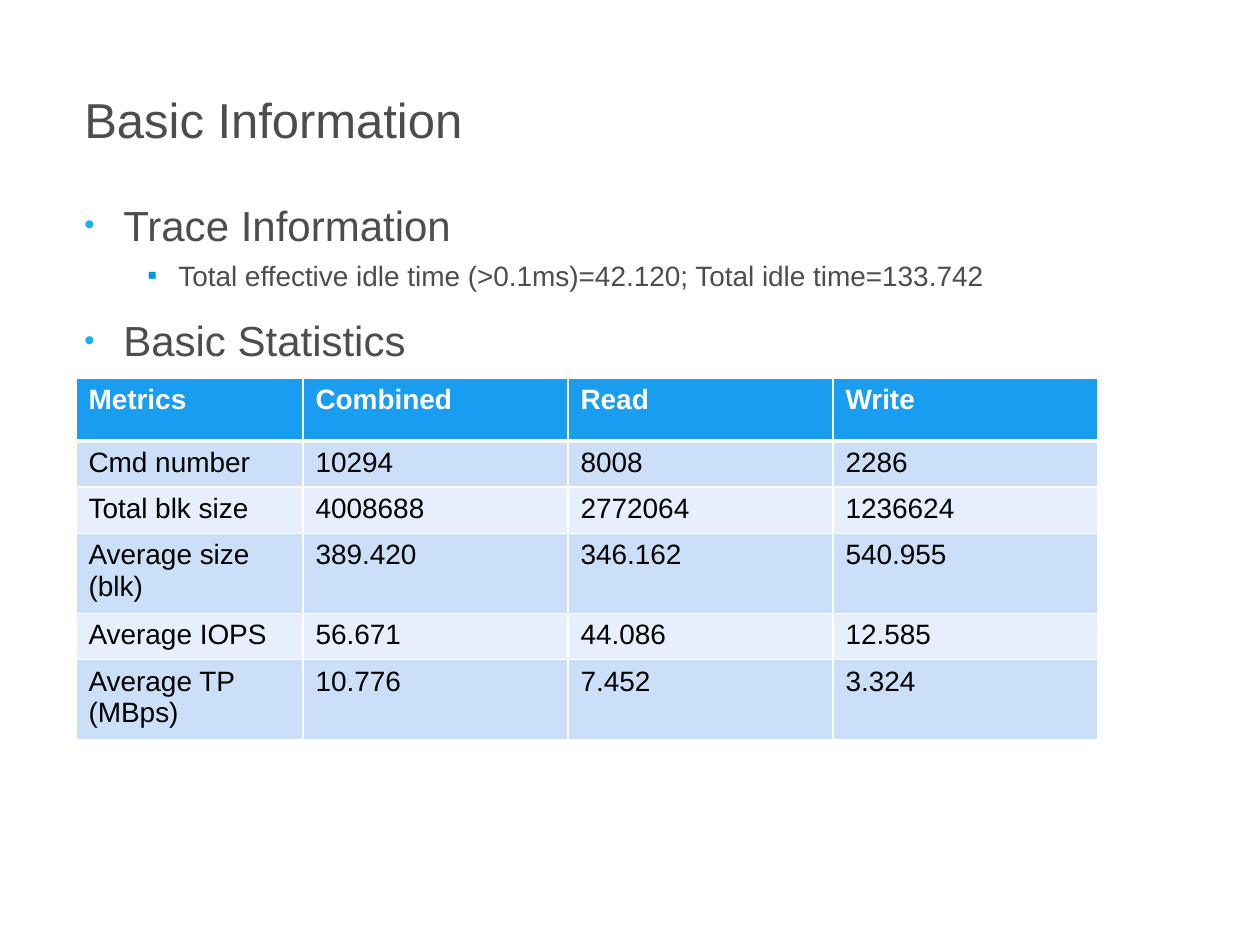
"""Build the Basic Information slide with trace notes and a statistics table."""
from lxml import etree
from pptx import Presentation
from pptx import util as u
from pptx.dml.color import RGBColor
from pptx.enum import text
from pptx.oxml.ns import qn

PX = 914400 / 126
GREY = RGBColor(0x4D, 0x4D, 0x4D)
WHITE = RGBColor(0xFF, 0xFF, 0xFF)
BLACK = RGBColor(0, 0, 0)
HEADER = RGBColor(0x19, 0x9D, 0xF0)
BANDS = [RGBColor(0xCC, 0xDF, 0xF9), RGBColor(0xE8, 0xEF, 0xFC)]
DOT = RGBColor(0x15, 0xB1, 0xF7)
SQUARE = RGBColor(0x00, 0x92, 0xEF)


def px(n):
    return u.Emu(round(n * PX))


def write(p, words, size, color, bold=False):
    r = p.add_run()
    r.text = words
    for key, value in dict(name="Arial", size=u.Pt(size), bold=bold).items():
        setattr(r.font, key, value)
    r.font.color.rgb = color


prs = Presentation()
prs.slide_width, prs.slide_height = px(1260), px(945)
s = prs.slides.add_slide(prs.slide_layouts[6])

title = s.shapes.add_textbox(px(72), px(89), px(1110), px(73))
tf = title.text_frame
frame = dict(word_wrap=True, margin_top=0, vertical_anchor=text.MSO_ANCHOR.MIDDLE)
for key, value in frame.items():
    setattr(tf, key, value)
p = tf.paragraphs[0]
p.line_spacing = 0.9
write(p, "Basic Information", 28, GREY)

LEVELS = [
    dict(size=24, before=13, left=39, hang=39, color=DOT, scale=70, char="•"),
    dict(size=16, before=5, left=94, hang=31, color=SQUARE, scale=100, char="▪"),
]
POINTS = [
    (0, "Trace Information"),
    (1, "Total effective idle time (>0.1ms)=42.120; Total idle time=133.742"),
    (0, "Basic Statistics"),
]
body = s.shapes.add_textbox(px(72), px(193), px(1110), px(307))
tf = body.text_frame
tf.word_wrap = True
for i, (level, words) in enumerate(POINTS):
    look = LEVELS[level]
    p = tf.add_paragraph() if i else tf.paragraphs[0]
    p.level = level
    p.space_before = u.Pt(look["before"])
    write(p, words, look["size"], GREY)
    pPr = p._p.get_or_add_pPr()
    pPr.set("marL", str(px(look["left"])))
    pPr.set("indent", str(-px(look["hang"])))
    clr = etree.SubElement(pPr, qn("a:buClr"))
    etree.SubElement(clr, qn("a:srgbClr"), val=str(look["color"]))
    etree.SubElement(pPr, qn("a:buSzPct"), val=str(look["scale"] * 1000))
    etree.SubElement(pPr, qn("a:buFont"), typeface="Arial")
    etree.SubElement(pPr, qn("a:buChar"), char=look["char"])

ROWS = [
    ("Metrics", "Combined", "Read", "Write"),
    ("Cmd number", "10294", "8008", "2286"),
    ("Total blk size", "4008688", "2772064", "1236624"),
    ("Average size (blk)", "389.420", "346.162", "540.955"),
    ("Average IOPS", "56.671", "44.086", "12.585"),
    ("Average TP (MBps)", "10.776", "7.452", "3.324"),
]
WIDTHS = [227, 265, 265, 265]
HEIGHTS = [63] + [32] * 5
stats = s.shapes.add_table(len(ROWS), len(WIDTHS), px(76), px(378),
                           px(sum(WIDTHS)), px(sum(HEIGHTS))).table
for col, width in zip(stats.columns, WIDTHS):
    col.width = px(width)
for row, height in zip(stats.rows, HEIGHTS):
    row.height = px(height)

for i, values in enumerate(ROWS):
    head = i == 0
    for j, words in enumerate(values):
        cell = stats.cell(i, j)
        write(cell.text_frame.paragraphs[0], words, 16, WHITE if head else BLACK, head)
        tcPr = cell._tc.get_or_add_tcPr()
        for side in "LRTB":
            thick = (head and side == "B") or (i == 1 and side == "T")
            ln = etree.SubElement(tcPr, qn(f"a:ln{side}"), w=str(u.Pt(3 if thick else 1)))
            fill = etree.SubElement(ln, qn("a:solidFill"))
            etree.SubElement(fill, qn("a:srgbClr"), val=str(WHITE))
        cell.fill.solid()
        cell.fill.fore_color.rgb = HEADER if head else BANDS[(i - 1) % 2]

prs.save("out.pptx")
